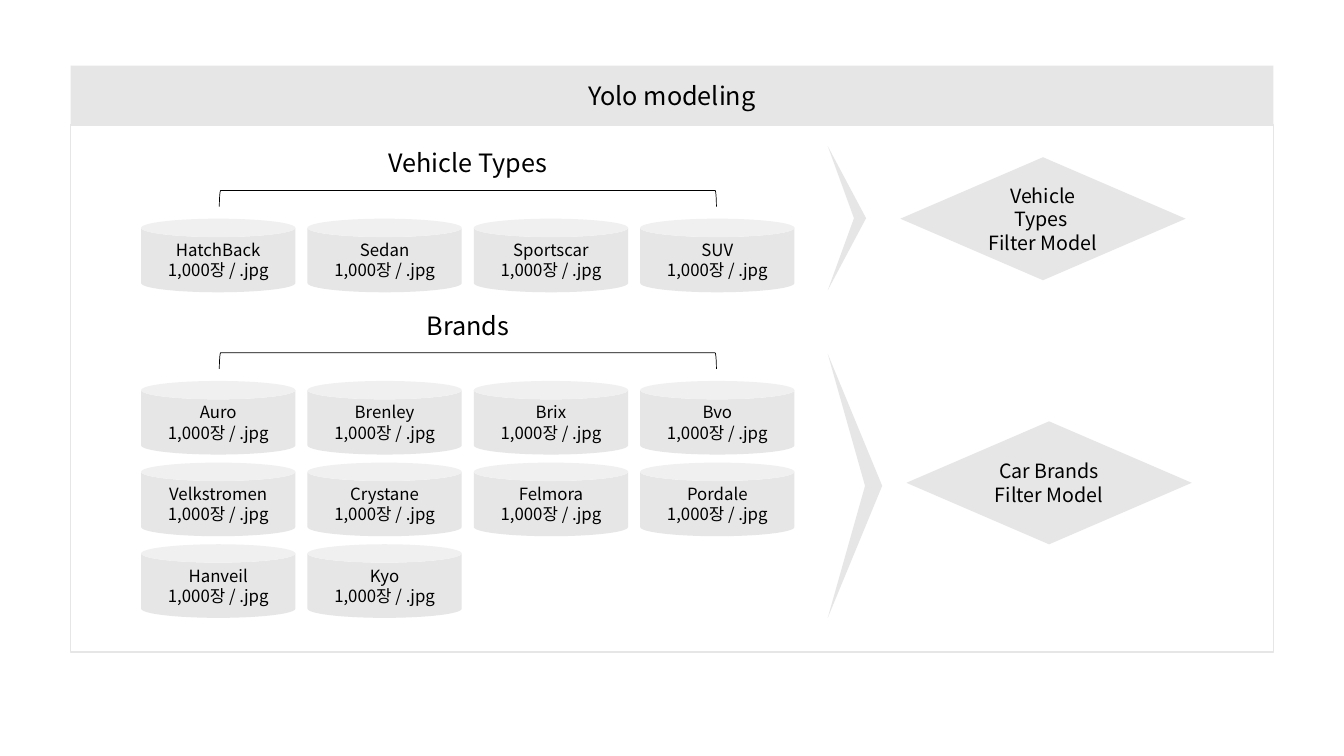
from dataclasses import dataclass

from lxml.etree import SubElement
from pptx import Presentation
from pptx.dml.color import RGBColor
from pptx.enum.shapes import MSO_SHAPE
from pptx.enum.text import MSO_ANCHOR, MSO_AUTO_SIZE, PP_ALIGN
from pptx.oxml.ns import qn
from pptx.slide import Slide
from pptx.util import Inches, Pt

BLACK = RGBColor(0x00, 0x00, 0x00)
GREY = RGBColor(0xE7, 0xE6, 0xE6)

VEHICLE_TYPES = ["HatchBack", "Sedan", "Sportscar", "SUV"]
BRANDS = ["Auro", "Brenley", "Brix", "Bvo",
          "Velkstromen", "Crystane", "Felmora", "Pordale",
          "Hanveil", "Kyo"]
IMAGE_COUNT = "1,000장 / .jpg"

# Grid of data sets, in inches
COLUMNS, GRID_LEFT = 4, 1.4
COLUMN_STEP, ROW_STEP = 1.65, 0.81
CAN_WIDTH, CAN_HEIGHT = 1.53, 0.73


def write_text(shape, *lines, size=12, color=BLACK, font="Noto Sans CJK KR"):
    """Fill a shape with centred lines, one paragraph each."""
    frame = shape.text_frame
    frame.word_wrap = True
    frame.auto_size = MSO_AUTO_SIZE.NONE
    frame.vertical_anchor = MSO_ANCHOR.MIDDLE
    for index, line in enumerate(lines):
        paragraph = frame.add_paragraph() if index else frame.paragraphs[0]
        paragraph.alignment = PP_ALIGN.CENTER
        run = paragraph.add_run()
        run.text = line
        run.font.size = Pt(size)
        run.font.name = font
        run.font.color.rgb = color
        east_asian = SubElement(run.font._element, qn("a:ea"))
        east_asian.set("typeface", font)


@dataclass
class Diagram:
    slide: Slide
    fill: RGBColor = GREY

    def paint(self, shape, fill=None, line=None, weight=1):
        shape.shadow.inherit = False
        if fill is None:
            shape.fill.background()
        else:
            shape.fill.solid()
            shape.fill.fore_color.rgb = fill
        if line is None:
            shape.line.fill.background()
        else:
            shape.line.color.rgb = line
            shape.line.width = Pt(weight)
        return shape

    def preset(self, kind, left, top, width, height, **style):
        shape = self.slide.shapes.add_shape(
            kind, Inches(left), Inches(top), Inches(width), Inches(height))
        return self.paint(shape, **style)

    def header(self, text, left, top, width, height):
        title = self.slide.shapes.title
        title.left, title.top = Inches(left), Inches(top)
        title.width, title.height = Inches(width), Inches(height)
        title.fill.solid()
        title.fill.fore_color.rgb = self.fill
        write_text(title, text, size=18)

    def label(self, text, left, top, width, height):
        box = self.slide.shapes.add_textbox(
            Inches(left), Inches(top), Inches(width), Inches(height))
        write_text(box, text, size=18)

    def bracket(self, center_x, center_y, span, depth):
        bracket = self.preset(
            MSO_SHAPE.LEFT_BRACKET, center_x - depth / 2, center_y - span / 2,
            depth, span, line=BLACK, weight=0.5)
        bracket.rotation = 90

    def cans(self, names, top):
        for index, name in enumerate(names):
            row, column = divmod(index, COLUMNS)
            can = self.preset(
                MSO_SHAPE.CAN, GRID_LEFT + column * COLUMN_STEP,
                top + row * ROW_STEP, CAN_WIDTH, CAN_HEIGHT, fill=self.fill)
            write_text(can, name, IMAGE_COUNT)

    def group(self, heading, names, top):
        self.label(heading, 3.54, top, 2.2, 0.45)
        self.bracket(4.64, top + 0.58, 4.93, 0.16)
        self.cans(names, top + 0.78)

    def chevron(self, left, top, depth, notch, height):
        middle, bottom = top + height / 2, top + height
        points = [(left + depth, middle), (left, bottom), (left + notch, middle)]
        builder = self.slide.shapes.build_freeform(
            Inches(left), Inches(top), scale=1.0)
        builder.add_line_segments(
            [(Inches(x), Inches(y)) for x, y in points], close=True)
        self.paint(builder.convert_to_shape(), fill=self.fill)

    def model(self, left, top, *lines):
        diamond = self.preset(MSO_SHAPE.FLOWCHART_DECISION, left, top,
                              2.83, 1.22, fill=self.fill)
        write_text(diamond, *lines, size=14)


presentation = Presentation()
presentation.slide_width = Inches(13.33)
presentation.slide_height = Inches(7.5)
title_only = presentation.slide_layouts[5]
diagram = Diagram(presentation.slides.add_slide(title_only))

# Header and frame
diagram.header("Yolo modeling", 0.7, 0.65, 11.93, 0.6)
diagram.preset(MSO_SHAPE.RECTANGLE, 0.7, 1.24, 11.93, 5.23, line=GREY)

# Data sets
diagram.group("Vehicle Types", VEHICLE_TYPES, 1.39)
diagram.group("Brands", BRANDS, 3.0)

# Filter models
diagram.chevron(8.21, 1.45, depth=0.38, notch=0.26, height=1.43)
diagram.model(8.93, 1.56, "Vehicle Types ", "Filter Model")
diagram.chevron(8.21, 3.51, depth=0.54, notch=0.37, height=2.62)
diagram.model(8.99, 4.18, "Car Brands", "Filter Model")

presentation.save("out.pptx")
